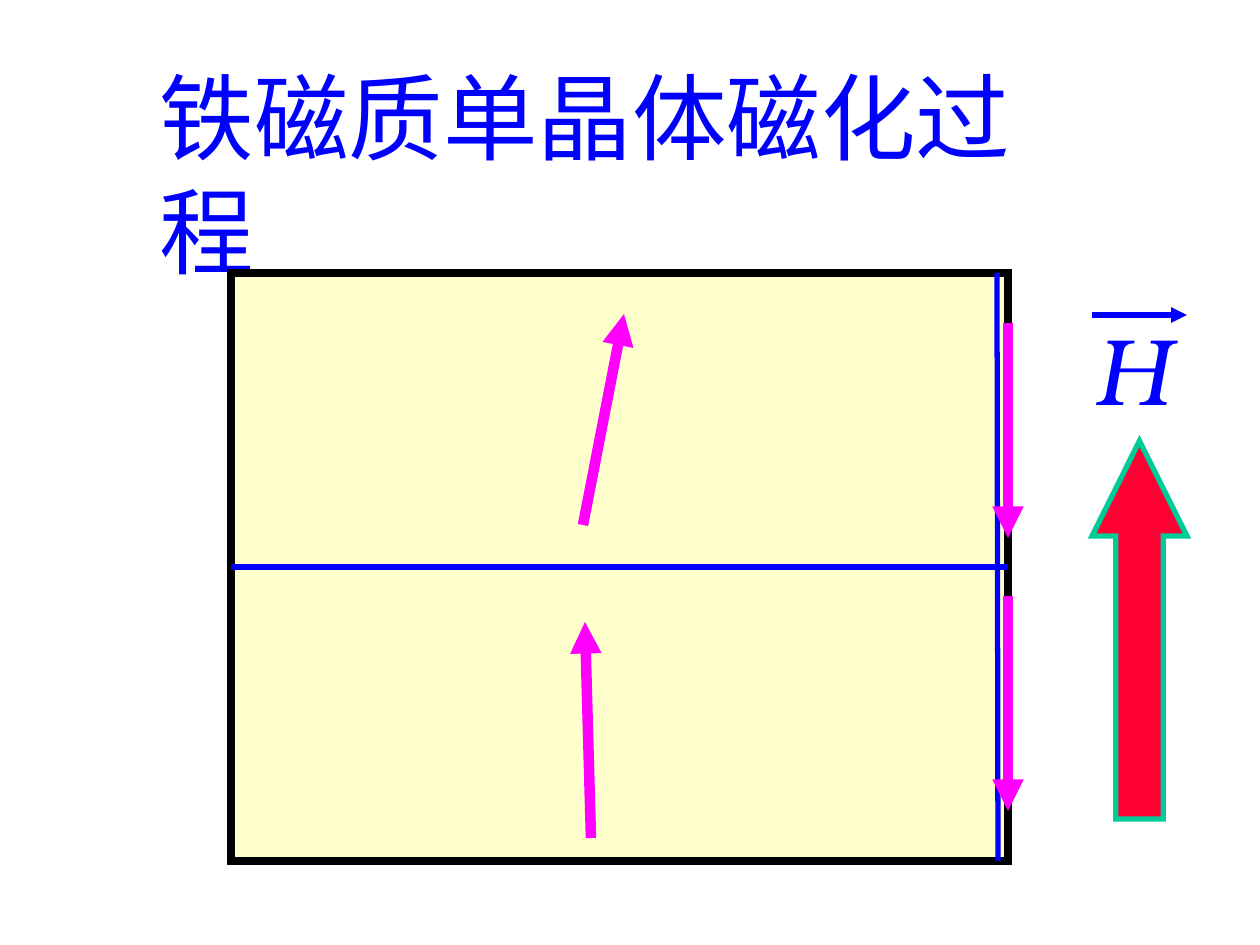
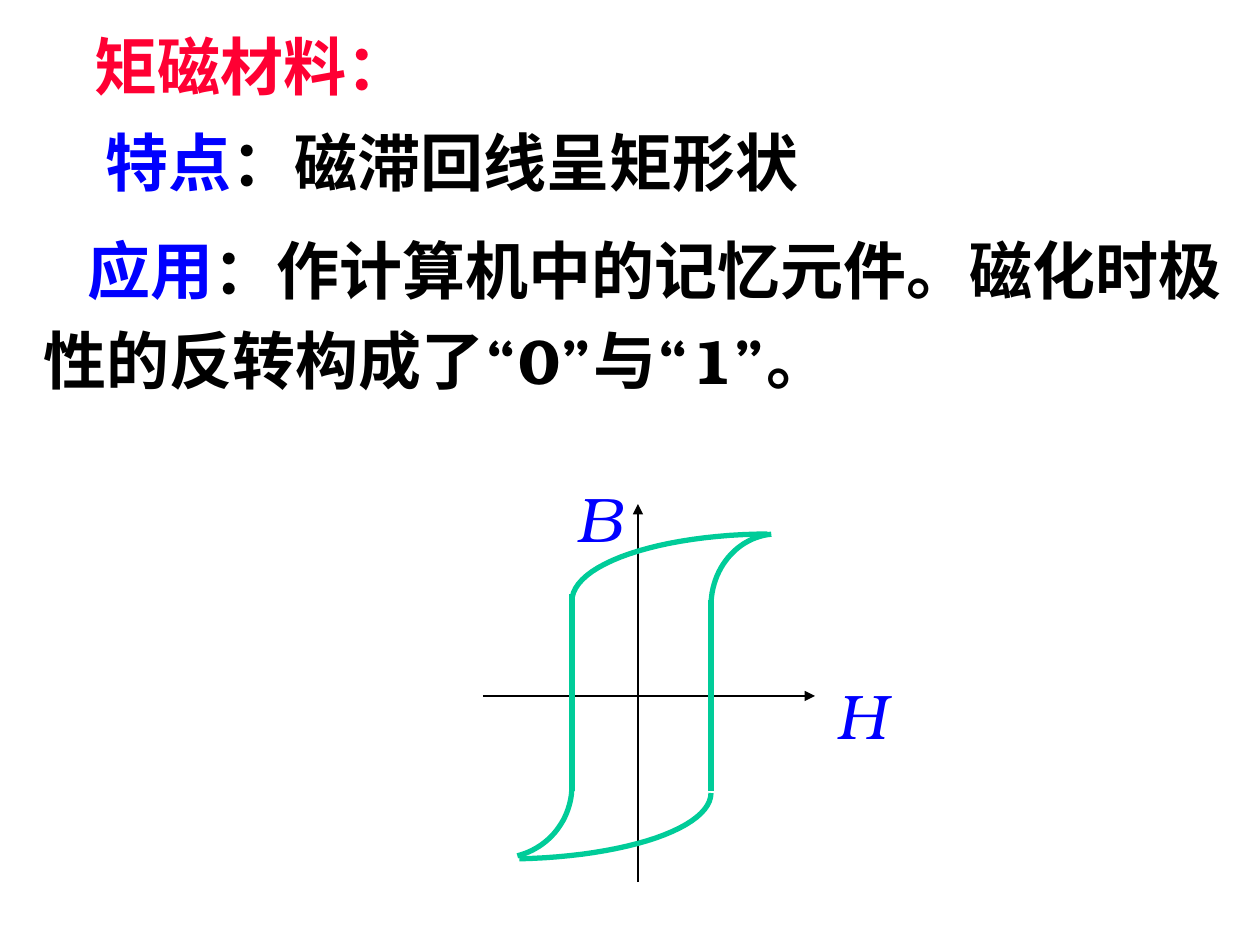
from math import cos, radians, sin
from typing import NamedTuple

from lxml.etree import SubElement
from pptx import Presentation
from pptx.dml.color import RGBColor
from pptx.enum.shapes import MSO_CONNECTOR, MSO_SHAPE
from pptx.enum.text import MSO_ANCHOR, MSO_AUTO_SIZE, PP_ALIGN
from pptx.oxml.ns import qn
from pptx.util import Emu, Inches, Pt

PX_PER_INCH = 126
TITLE_ONLY = 5
FONT = "TeX Gyre Bonum"
BLUE, RED, BLACK = "0000FF", "FF0033", "000000"
MAGENTA, GREEN, CREAM = "FF00FF", "00CC99", "FFFFCC"
ARC_STEPS = 24


class Span(NamedTuple):
    text: str
    color: str = BLUE


class Label(NamedTuple):
    """Text that starts at a corner; each paragraph is a list of spans."""
    left: int
    top: int
    width: int
    height: int
    paras: list[list[Span]]
    size: int = 36
    bold: bool = False
    italic: bool = False
    spacing: float = 1.0
    first_indent: int = 0


class Stroke(NamedTuple):
    """Straight line, with an arrowhead at its end if wanted."""
    x1: int
    y1: int
    x2: int
    y2: int
    color: str
    weight: float
    arrow: bool = True


class Arc(NamedTuple):
    """Part of an ellipse, clockwise from the start angle, in degrees."""
    center_x: int
    center_y: int
    radius_x: int
    radius_y: int
    start: int
    sweep: int


def px(length: float) -> Emu:
    return Emu(round(length * Inches(1) / PX_PER_INCH))


def rgb(color: str) -> RGBColor:
    return RGBColor.from_string(color)


def write(box, label: Label) -> None:
    """Place a text box or title and fill it run by run."""
    box.left, box.top = px(label.left), px(label.top)
    box.width, box.height = px(label.width), px(label.height)
    frame = box.text_frame
    frame.word_wrap = False
    frame.auto_size = MSO_AUTO_SIZE.SHAPE_TO_FIT_TEXT
    frame.vertical_anchor = MSO_ANCHOR.TOP
    for index, spans in enumerate(label.paras):
        para = frame.add_paragraph() if index else frame.paragraphs[0]
        para.alignment = PP_ALIGN.LEFT
        para.line_spacing = label.spacing
        if label.first_indent and index == 0:
            properties = para._p.get_or_add_pPr()
            properties.set("marL", "0")
            properties.set("indent", str(px(label.first_indent)))
        for span in spans:
            run = para.add_run()
            run.text = span.text
            font = run.font
            font.name, font.size = FONT, Pt(label.size)
            font.bold, font.italic = label.bold, label.italic
            font.color.rgb = rgb(span.color)
            SubElement(run._r.get_or_add_rPr(), qn("a:ea"), typeface=FONT)


def add_label(page, label: Label) -> None:
    write(page.shapes.add_textbox(0, 0, 0, 0), label)


def add_page(deck, title: Label):
    page = deck.slides.add_slide(deck.slide_layouts[TITLE_ONLY])
    write(page.shapes.title, title)
    return page


def add_stroke(page, stroke: Stroke):
    line = page.shapes.add_connector(
        MSO_CONNECTOR.STRAIGHT,
        px(stroke.x1), px(stroke.y1), px(stroke.x2), px(stroke.y2))
    line.line.color.rgb = rgb(stroke.color)
    line.line.width = Pt(stroke.weight)
    if stroke.arrow:
        SubElement(line.line._get_or_add_ln(), qn("a:tailEnd"), type="triangle")
    SubElement(line._element.spPr, qn("a:effectLst"))
    return line


def outline(shape, color: str, weight: float) -> None:
    shape.shadow.inherit = False
    shape.line.color.rgb = rgb(color)
    shape.line.width = Pt(weight)


def add_block(page, kind, left: int, top: int, width: int, height: int,
              fill: str, line: str, weight: float):
    block = page.shapes.add_shape(kind, px(left), px(top), px(width), px(height))
    block.fill.solid()
    block.fill.fore_color.rgb = rgb(fill)
    outline(block, line, weight)
    # Sharp corners
    SubElement(block.line._get_or_add_ln(), qn("a:miter"), lim="800000")
    return block


def add_arc(page, arc: Arc) -> None:
    angles = [radians(arc.start + arc.sweep * step / ARC_STEPS)
              for step in range(ARC_STEPS + 1)]
    points = [(px(arc.center_x + arc.radius_x * cos(angle)),
               px(arc.center_y + arc.radius_y * sin(angle))) for angle in angles]
    builder = page.shapes.build_freeform(*points[0])
    builder.add_line_segments(points[1:], close=False)
    curve = builder.convert_to_shape()
    curve.fill.background()
    outline(curve, GREEN, 3)


def build_magnetization(deck) -> None:
    page = add_page(deck, Label(147, 53, 970, 126,
                                [[Span("铁磁质单晶体磁化过程")]], size=54))
    crystal = add_block(page, MSO_SHAPE.RECTANGLE, 231, 273, 777, 588,
                        CREAM, BLACK, 4.5)

    # Domain walls
    add_stroke(page, Stroke(997, 273, 998, 861, BLUE, 3, arrow=False))
    wall = add_stroke(page, Stroke(231, 567, 1008, 567, BLUE, 3, arrow=False))
    wall.begin_connect(crystal, 1)
    wall.end_connect(crystal, 3)

    # Magnetic moments of the domains
    for ends in ((583, 525, 624, 314), (1008, 323, 1008, 538),
                 (591, 838, 585, 622), (1008, 596, 1008, 811)):
        add_stroke(page, Stroke(*ends, MAGENTA, 6))

    # External field with its vector symbol
    field = add_block(page, MSO_SHAPE.UP_ARROW, 1092, 441, 95, 378, RED, GREEN, 3)
    field.adjustments[0], field.adjustments[1] = 0.5, 1.0
    add_label(page, Label(1082, 305, 101, 126, [[Span("H")]], size=54, italic=True))
    add_stroke(page, Stroke(1092, 315, 1187, 315, BLUE, 3))


def build_square_loop(deck) -> None:
    page = add_page(deck, Label(82, 21, 340, 88,
                                [[Span("矩磁材料：", RED)]], bold=True))
    add_label(page, Label(93, 117, 718, 88, [
        [Span("特点"), Span("：磁滞回线呈矩形状", BLACK)]], bold=True))
    add_label(page, Label(31, 210, 1208, 194, [
        [Span("应用"), Span("：作计算机中的记忆元件。磁化时极", BLACK)],
        [Span("性的反转构成了“0”与“1”。", BLACK)],
    ], bold=True, spacing=1.2, first_indent=44))

    # Axes
    add_stroke(page, Stroke(483, 696, 815, 696, BLACK, 1))
    add_stroke(page, Stroke(638, 882, 638, 504, BLACK, 1))
    add_label(page, Label(564, 473, 71, 88, [[Span("B")]], italic=True))
    add_label(page, Label(824, 670, 76, 88, [[Span("H")]], italic=True))

    # Hysteresis loop: curved ends and straight sides
    for arc in (Arc(771, 601, 199, 67, 180, 89), Arc(777, 606, 66, 72, 180, 85),
                Arc(500, 786, 72, 72, 0, 76), Arc(505, 793, 206, 66, 0, 86)):
        add_arc(page, arc)
    add_stroke(page, Stroke(572, 594, 572, 791, GREEN, 3, arrow=False))
    add_stroke(page, Stroke(711, 791, 711, 600, GREEN, 3, arrow=False))


def main() -> None:
    deck = Presentation()
    deck.slide_width, deck.slide_height = px(1260), px(945)
    build_magnetization(deck)
    build_square_loop(deck)
    deck.save("out.pptx")


if __name__ == "__main__":
    main()
